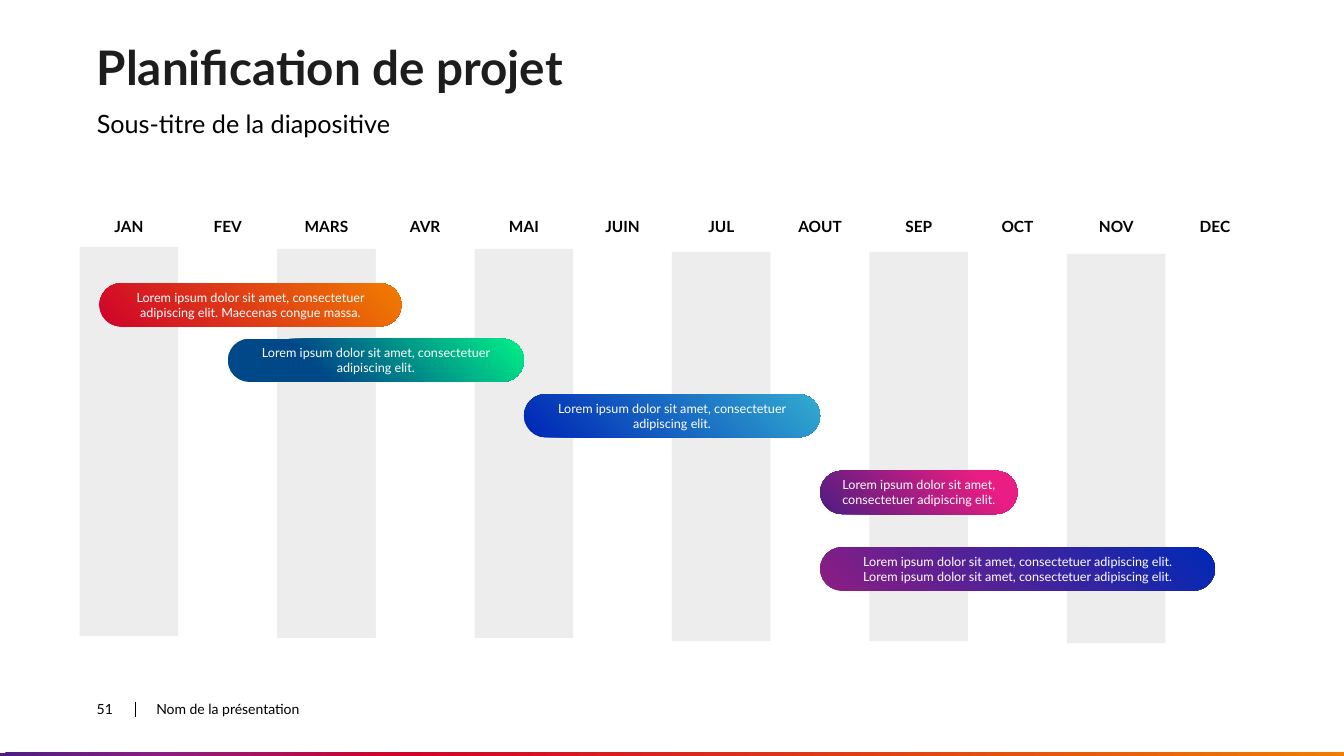
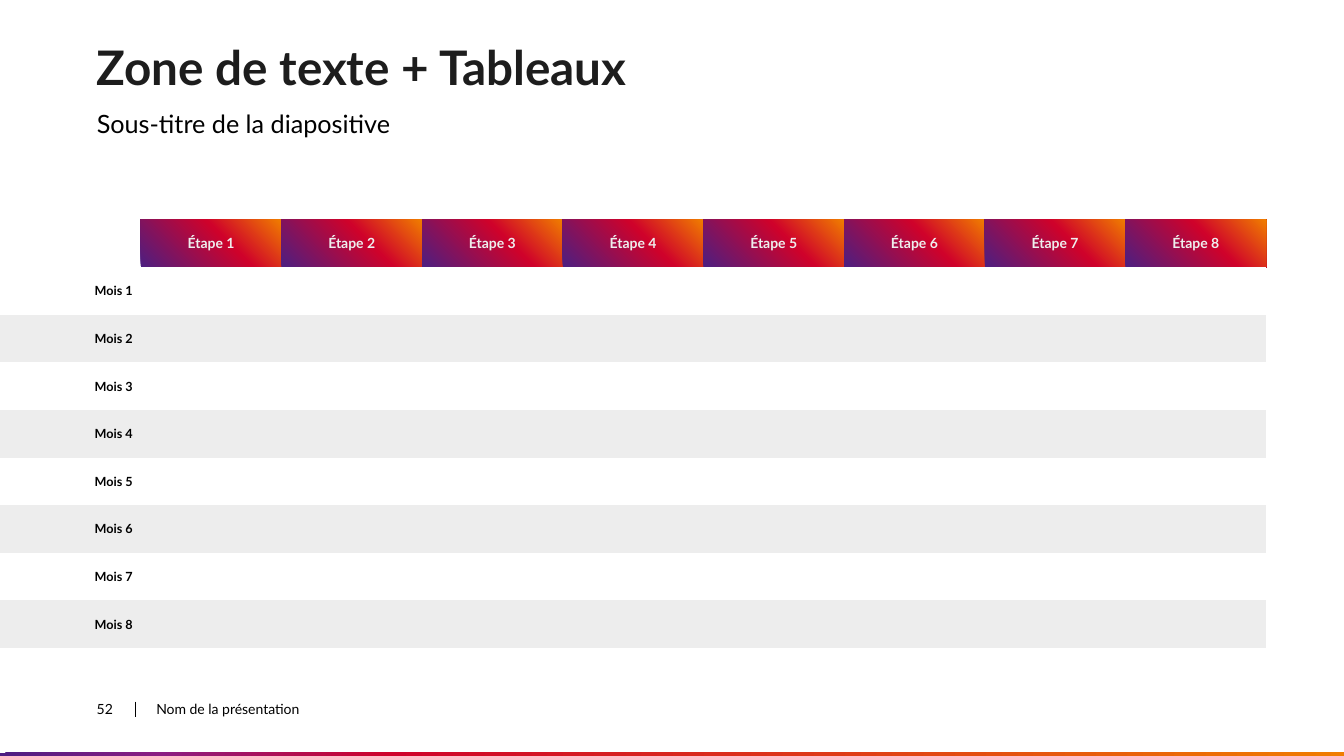
from lxml import etree
from pptx import Presentation
from pptx.dml.color import RGBColor
from pptx.enum.shapes import MSO_CONNECTOR, MSO_SHAPE
from pptx.enum.text import MSO_ANCHOR, MSO_AUTO_SIZE, PP_ALIGN
from pptx.oxml.ns import qn
from pptx.util import Inches, Pt

FONT = "Lato"
COLORS = {
    "ink": "1D1D1D", "black": "000000", "white": "FFFFFF", "band": "EDEDED",
    "header_text": "EEEEED",
}
GRADIENTS = {
    "footer": [(0, "4D1D82"), (12, "8B1D82"), (29, "CF022B"), (100, "F07D00")],
    "header": [(0, "4C1F82"), (60, "CF022B"), (100, "F07D00")],
    "sunset": [(0, "CF022B"), (100, "F07D00")],
    "mint": [(30, "004888"), (100, "00F188")],
    "sky": [(3, "0029B6"), (100, "32ABD0")],
    "pink": [(0, "4D1D82"), (82, "E91D82")],
    "violet": [(0, "8C1D82"), (100, "0029B6")],
}
NO_TABLE_STYLE = "{2D5ABB26-0587-4C30-8999-92F81FD0307C}"

FIRST_NUMBER = 51
SUBTITLE = "Sous-titre de la diapositive"
DECK_NAME = "Nom de la présentation"

MONTHS = ["JAN", "FEV", "MARS", "AVR", "MAI", "JUIN",
          "JUL", "AOUT", "SEP", "OCT", "NOV", "DEC"]
COLUMN_TOPS = [2.45, 2.47, 2.5, 2.52]
LOREM = "Lorem ipsum dolor sit amet, consectetuer adipiscing elit."
TASKS = [
    (0.2, 3.26, 2.81, "sunset", [LOREM + " Maecenas congue massa."]),
    (1.5, 4.5, 3.36, "mint", [LOREM]),
    (4.5, 7.5, 3.91, "sky", [LOREM]),
    (7.5, 9.5, 4.67, "pink", [LOREM]),
    (7.5, 11.5, 5.43, "violet", [LOREM, LOREM]),
]
STEPS = [f"Étape {n}" for n in range(1, 9)]
ROW_LABELS = [f"Mois {n}" for n in range(1, 9)]


def rgb(name):
    return RGBColor.from_string(COLORS[name])


def fill_solid(target, color):
    target.fill.solid()
    target.fill.fore_color.rgb = rgb(color)


def fill_gradient(target, element, name, angle=45):
    target.fill.gradient()
    target.fill.gradient_angle = angle
    stops = next(element.iter(qn("a:gsLst")))
    for old in list(stops):
        stops.remove(old)
    for pos, color in GRADIENTS[name]:
        stop = etree.SubElement(stops, qn("a:gs"), pos=str(pos * 1000))
        etree.SubElement(stop, qn("a:srgbClr"), val=color)


def style(p, size, color="black", bold=False, align=PP_ALIGN.LEFT):
    p.alignment = align
    p.font.name = FONT
    p.font.size = Pt(size)
    p.font.bold = bold
    p.font.color.rgb = rgb(color)


def set_frame(tf, anchor=MSO_ANCHOR.TOP, side=0):
    tf.word_wrap = True
    tf.auto_size = MSO_AUTO_SIZE.NONE
    tf.vertical_anchor = anchor
    tf.margin_left = tf.margin_right = Inches(side)
    tf.margin_top = tf.margin_bottom = 0


def place(sp, *box):
    sp.left, sp.top, sp.width, sp.height = map(Inches, box)


def add_shape(shapes, kind, *box):
    sp = shapes.add_shape(kind, *map(Inches, box))
    sp.shadow.inherit = False
    sp.line.fill.background()
    return sp


def add_text(s, text, box, size, anchor=MSO_ANCHOR.TOP, **look):
    sp = s.shapes.add_textbox(*map(Inches, box))
    set_frame(sp.text_frame, anchor)
    p = sp.text_frame.paragraphs[0]
    p.text = text
    style(p, size, **look)
    return p


def add_slide_number(s, number):
    p = add_text(s, "", (0.96, 6.95, 0.36, 0.17), 10, MSO_ANCHOR.MIDDLE)
    field = etree.SubElement(p._p, qn("a:fld"), type="slidenum",
                             id="{B6F15528-21DE-4FAA-801E-634DDDAF4B2B}")
    etree.SubElement(field, qn("a:rPr"), lang="fr-FR", sz="1000")
    etree.SubElement(field, qn("a:t")).text = str(number)


def add_base_slide(prs, title):
    s = prs.slides.add_slide(prs.slide_layouts[1])
    number = FIRST_NUMBER + len(prs.slides) - 1

    bar = add_shape(s.shapes, MSO_SHAPE.RECTANGLE, 0, 7.47, 13.35, 0.05)
    fill_gradient(bar, bar.element, "footer", 350)
    add_slide_number(s, number)
    line = s.shapes.add_connector(MSO_CONNECTOR.STRAIGHT, Inches(1.34),
                                  Inches(6.96), Inches(1.34), Inches(7.11))
    line.line.color.rgb = rgb("black")
    line.line.width = Pt(0.5)
    etree.SubElement(line.element.spPr, qn("a:effectLst"))
    add_text(s, DECK_NAME, (1.55, 6.95, 3.82, 0.17), 10, MSO_ANCHOR.MIDDLE)

    heading, body = s.shapes.title, s.placeholders[1]
    place(heading, 0.96, 0.44, 11.58, 0.51)
    place(body, 0.96, 1.07, 11.58, 0.3)
    for sp, text in ((heading, title), (body, SUBTITLE)):
        sp.text_frame.text = text
        set_frame(sp.text_frame)
    p = heading.text_frame.paragraphs[0]
    p.line_spacing = 0.9
    style(p, 34, "ink", True)
    p = body.text_frame.paragraphs[0]
    p.space_before = Pt(0)
    p.space_after = Pt(5)
    props = p._p.get_or_add_pPr()
    props.set("marL", "0")
    props.set("indent", "0")
    etree.SubElement(props, qn("a:buNone"))
    style(p, 18)
    return s


def add_planning(prs):
    s = add_base_slide(prs, "Planification de projet")
    left, right = 0.79, 12.54
    pitch = (right - left) / len(MONTHS)

    columns = s.shapes.add_group_shape()
    for i, month in enumerate(MONTHS):
        x = left + i * pitch
        top = COLUMN_TOPS[(i + 2) // 4]
        column = add_shape(columns.shapes, MSO_SHAPE.RECTANGLE,
                           x, top, pitch, 3.86)
        fill_solid(column, "white" if i % 2 else "band")
        add_text(s, month, (x, 2.15, pitch, 0.19), 11,
                 bold=True, align=PP_ALIGN.CENTER)

    for start, end, top, gradient, lines in TASKS:
        task = add_shape(s.shapes, MSO_SHAPE.ROUNDED_RECTANGLE,
                         left + start * pitch, top, (end - start) * pitch, 0.43)
        task.adjustments[0] = 0.5
        fill_gradient(task, task.element, gradient)
        tf = task.text_frame
        set_frame(tf, MSO_ANCHOR.MIDDLE, 0.08)
        tf.text = "\n".join(lines)
        for p in tf.paragraphs:
            style(p, 9, "white", align=PP_ALIGN.CENTER)


def set_cell(cell, text, size, color, align):
    cell.vertical_anchor = MSO_ANCHOR.MIDDLE
    cell.text = text
    style(cell.text_frame.paragraphs[0], size, color, True, align)


def add_steps_table(prs):
    s = add_base_slide(prs, "Zone de texte + Tableaux")
    rows, cols = len(ROW_LABELS) + 1, len(STEPS) + 1
    frame = s.shapes.add_table(rows, cols, Inches(0), Inches(2.18),
                               Inches(12.56), Inches(4.25))
    table = frame.table
    table.first_row = table.horz_banding = False
    next(frame.element.iter(qn("a:tableStyleId"))).text = NO_TABLE_STYLE

    for r in range(rows):
        for c in range(cols):
            fill_solid(table.cell(r, c), "white" if r % 2 or not r else "band")
    for c, step in enumerate(STEPS, 1):
        cell = table.cell(0, c)
        fill_gradient(cell, cell._tc, "header")
        set_cell(cell, step, 10, "header_text", PP_ALIGN.CENTER)
    for r, label in enumerate(ROW_LABELS, 1):
        cell = table.cell(r, 0)
        cell.margin_left = cell.margin_top = cell.margin_bottom = 0
        cell.margin_right = Inches(0.08)
        set_cell(cell, label, 9, "black", PP_ALIGN.RIGHT)


def main():
    prs = Presentation()
    prs.slide_width, prs.slide_height = Inches(13.33), Inches(7.5)
    prs.element.set("firstSlideNum", str(FIRST_NUMBER))
    add_planning(prs)
    add_steps_table(prs)
    prs.save("out.pptx")


if __name__ == "__main__":
    main()
